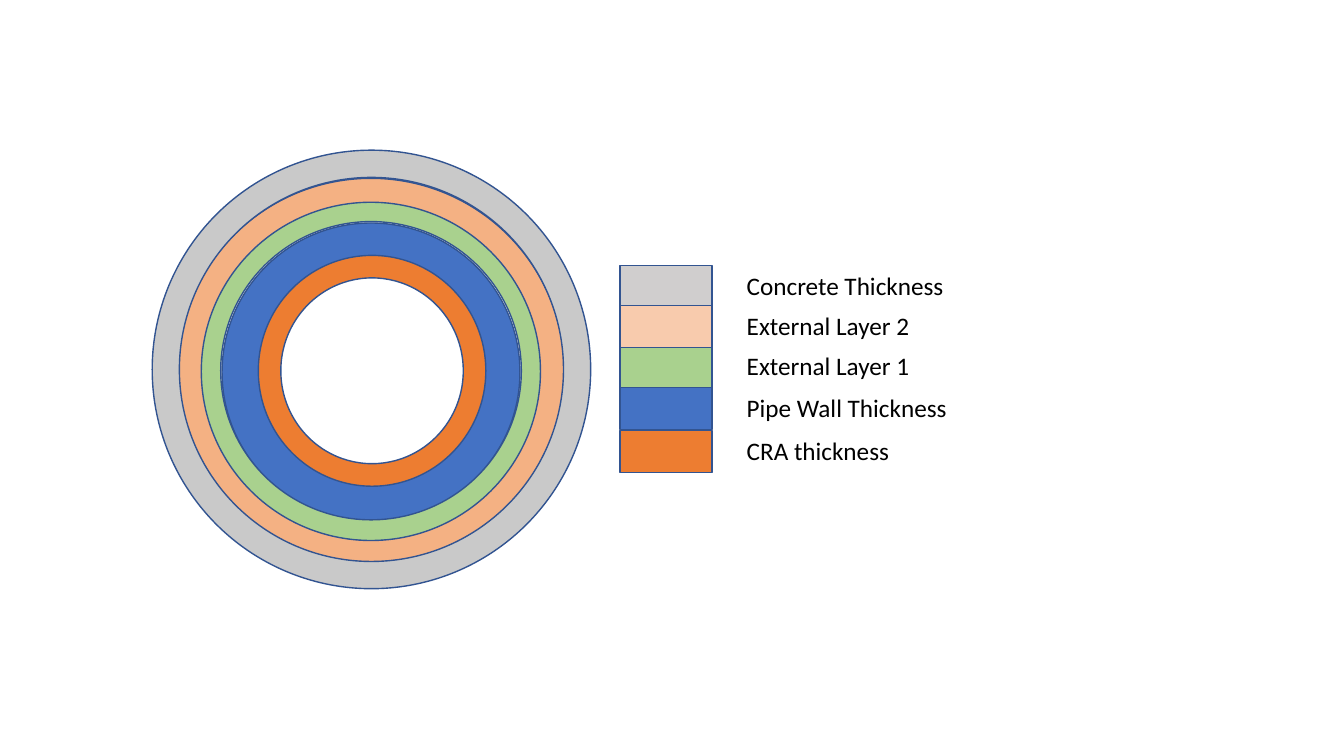
from pptx import Presentation
from pptx.dml.color import RGBColor
from pptx.enum import shapes, text
from pptx.util import Pt

OUTLINE = "325491"

# left, top, width, height, ring thickness ratio, fill
RINGS = [
    (158.6, 159.3, 212.8, 213.1, 0.124, "4472C4"),
    (184.5, 182.4, 162.5, 164.9, 0.099, "ED7D31"),
    (142.6, 143.2, 244.9, 243.2, 0.062, "A9D18E"),
    (126.7, 127.4, 276.5, 275.8, 0.062, "F4B183"),
    (108.7, 107.3, 313.2, 313.2, 0.062, "C9C9C9"),
]

# top, label, label width, swatch fill
LEGEND = [
    (307.4, "CRA thickness", 155.5, "ED7D31"),
    (276.5, "Pipe Wall Thickness", 185, "4472C4"),
    (246.5, "External Layer 1", 155.5, "A9D18E"),
    (189.8, "Concrete Thickness", 155.5, "D0CECE"),
    (218.2, "External Layer 2", 155.5, "F8CBAD"),
]
SWATCH_LEFT, SWATCH_WIDTH = 442.8, 65.9
LABEL_LEFT, ROW_HEIGHT = 526.3, 30.2


def color(value):
    return RGBColor.from_string(value)


def add_outlined_shape(kind, left, top, width, height, fill):
    shape = slide.shapes.add_shape(kind, Pt(left), Pt(top), Pt(width), Pt(height))
    shape.shadow.inherit = False
    shape.fill.solid()
    shape.fill.fore_color.rgb = color(fill)
    shape.line.color.rgb = color(OUTLINE)
    shape.line.width = Pt(1)
    return shape


presentation = Presentation()
presentation.slide_width = Pt(960)
presentation.slide_height = Pt(540)
slide = presentation.slides.add_slide(presentation.slide_layouts[6])

for left, top, width, height, thickness, fill in RINGS:
    ring = add_outlined_shape(shapes.MSO_SHAPE.DONUT, left, top, width, height, fill)
    ring.adjustments[0] = thickness

for top, label, label_width, fill in LEGEND:
    add_outlined_shape(shapes.MSO_SHAPE.RECTANGLE,
                       SWATCH_LEFT, top, SWATCH_WIDTH, ROW_HEIGHT, fill)
    label_box = slide.shapes.add_textbox(Pt(LABEL_LEFT), Pt(top),
                                         Pt(label_width), Pt(ROW_HEIGHT))
    text_frame = label_box.text_frame
    text_frame.word_wrap = True
    text_frame.auto_size = text.MSO_AUTO_SIZE.SHAPE_TO_FIT_TEXT
    text_frame.text = label
    font = text_frame.paragraphs[0].runs[0].font
    font.name = "Calibri"
    font.size = Pt(18)
    font.color.rgb = color("000000")

presentation.save("out.pptx")
